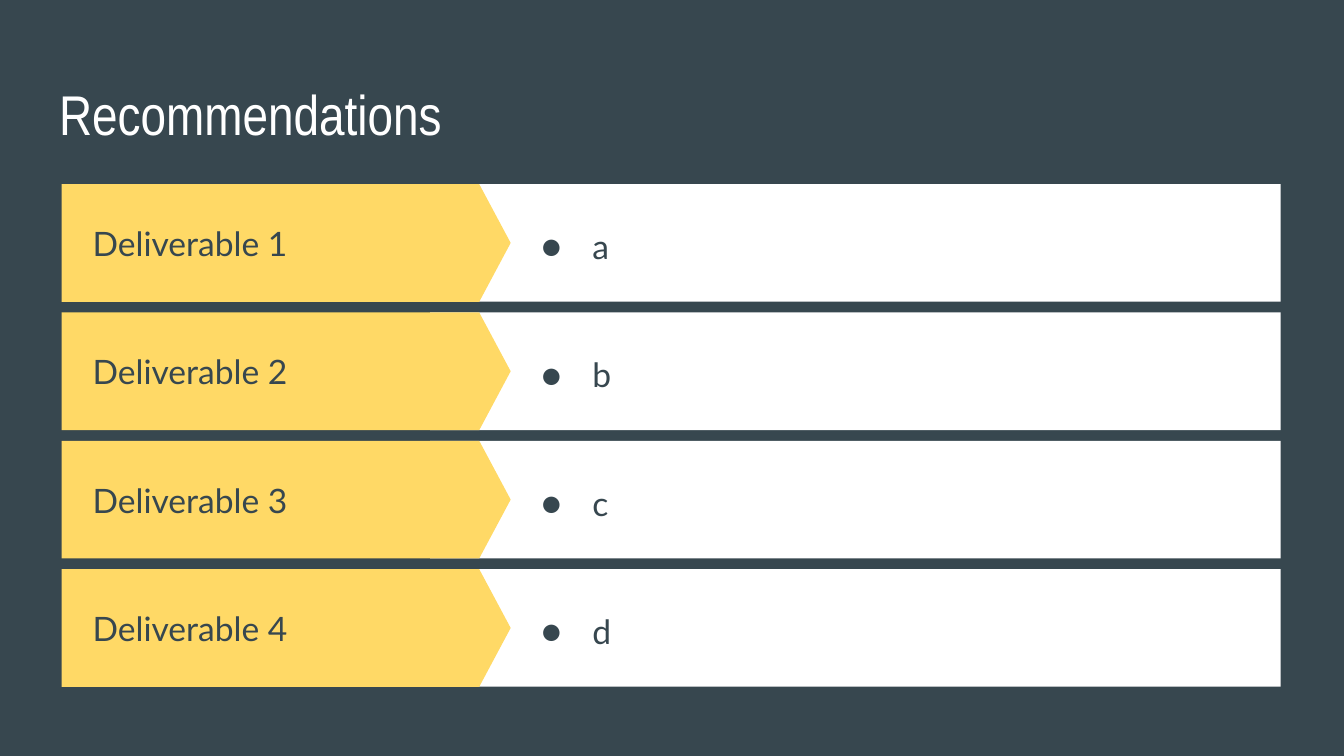
from lxml import etree
from pptx import Presentation
from pptx.dml.color import RGBColor
from pptx.enum.shapes import MSO_SHAPE
from pptx.enum.text import MSO_ANCHOR, MSO_AUTO_SIZE, PP_ALIGN
from pptx.oxml.ns import qn
from pptx.util import Inches, Pt

RECTANGLE, PENTAGON = MSO_SHAPE.RECTANGLE, MSO_SHAPE.PENTAGON
TOP, MIDDLE = MSO_ANCHOR.TOP, MSO_ANCHOR.MIDDLE
NO_FIT = MSO_AUTO_SIZE.NONE
LEFT = PP_ALIGN.LEFT

COLORS = {"slate": "37474F", "yellow": "FFD966", "white": "FFFFFF"}
BODY_FONT = "Lato"
ROWS = [
    ("Deliverable 1", "a"),
    ("Deliverable 2", "b"),
    ("Deliverable 3", "c"),
    ("Deliverable 4", "d"),
]
GAP = 0.08


def color(name):
    return RGBColor.from_string(COLORS[name])


def write_text(shape, text, font, size, color_name, anchor):
    frame = shape.text_frame
    frame.word_wrap = True
    frame.auto_size = NO_FIT
    frame.vertical_anchor = anchor
    frame.margin_left = frame.margin_right = Inches(0.1)
    frame.margin_top = frame.margin_bottom = Inches(0.1)
    para = frame.paragraphs[0]
    para.alignment = LEFT
    span = para.add_run()
    span.text = text
    span.font.name = font
    span.font.size = Pt(size)
    span.font.color.rgb = color(color_name)
    return para


def add_bullet(para):
    para.line_spacing = 1.15
    settings = para._p.get_or_add_pPr()
    settings.set("marL", str(Inches(0.5)))
    settings.set("indent", str(Inches(-0.38)))
    bullet_color = etree.SubElement(settings, qn("a:buClr"))
    etree.SubElement(bullet_color, qn("a:srgbClr"), val=COLORS["slate"])
    etree.SubElement(settings, qn("a:buFont"), typeface=BODY_FONT)
    etree.SubElement(settings, qn("a:buChar"), char="●")


def add_bar(group, kind, left, top, width, height, color_name):
    bar = group.shapes.add_shape(
        kind, Inches(left), Inches(top), Inches(width), Inches(height))
    bar.shadow.inherit = False
    bar.fill.solid()
    bar.fill.fore_color.rgb = color(color_name)
    bar.line.fill.background()
    return bar


def add_label(page, left, top, width, height, text):
    box = page.shapes.add_textbox(
        Inches(left), Inches(top), Inches(width), Inches(height))
    return write_text(box, text, BODY_FONT, 18, "slate", MIDDLE)


def add_title(page, left, top, width, height, text):
    title = page.shapes.title
    title.left, title.top = Inches(left), Inches(top)
    title.width, title.height = Inches(width), Inches(height)
    write_text(title, text, "Arial Narrow", 30, "white", TOP)


def add_row(page, left, top, width, height, name, detail):
    group = page.shapes.add_group_shape()
    add_bar(group, RECTANGLE, left + 2.74, top, width - 2.74, height, "white")
    arrow = add_bar(group, PENTAGON, left, top, 3.34, height, "yellow")
    arrow.adjustments[0] = 0.267
    add_label(page, left + 0.13, top, 2.65, height, name)
    add_bullet(add_label(page, left + 3.35, top, width - 3.48, height, detail))


def add_rows(page, left, top, width, height, rows):
    row_height = (height - GAP * (len(rows) - 1)) / len(rows)
    for index, (name, detail) in enumerate(rows):
        row_top = top + index * (row_height + GAP)
        add_row(page, left, row_top, width, row_height, name, detail)


def main():
    deck = Presentation()
    deck.slide_width = Inches(10)
    deck.slide_height = deck.slide_width * 9 // 16
    page = deck.slides.add_slide(deck.slide_layouts[5])
    page.background.fill.solid()
    page.background.fill.fore_color.rgb = color("slate")
    add_title(page, 0.34, 0.49, 9.32, 0.63, "Recommendations")
    add_rows(page, 0.46, 1.37, 9.07, 3.74, ROWS)
    deck.save("out.pptx")


if __name__ == "__main__":
    main()
